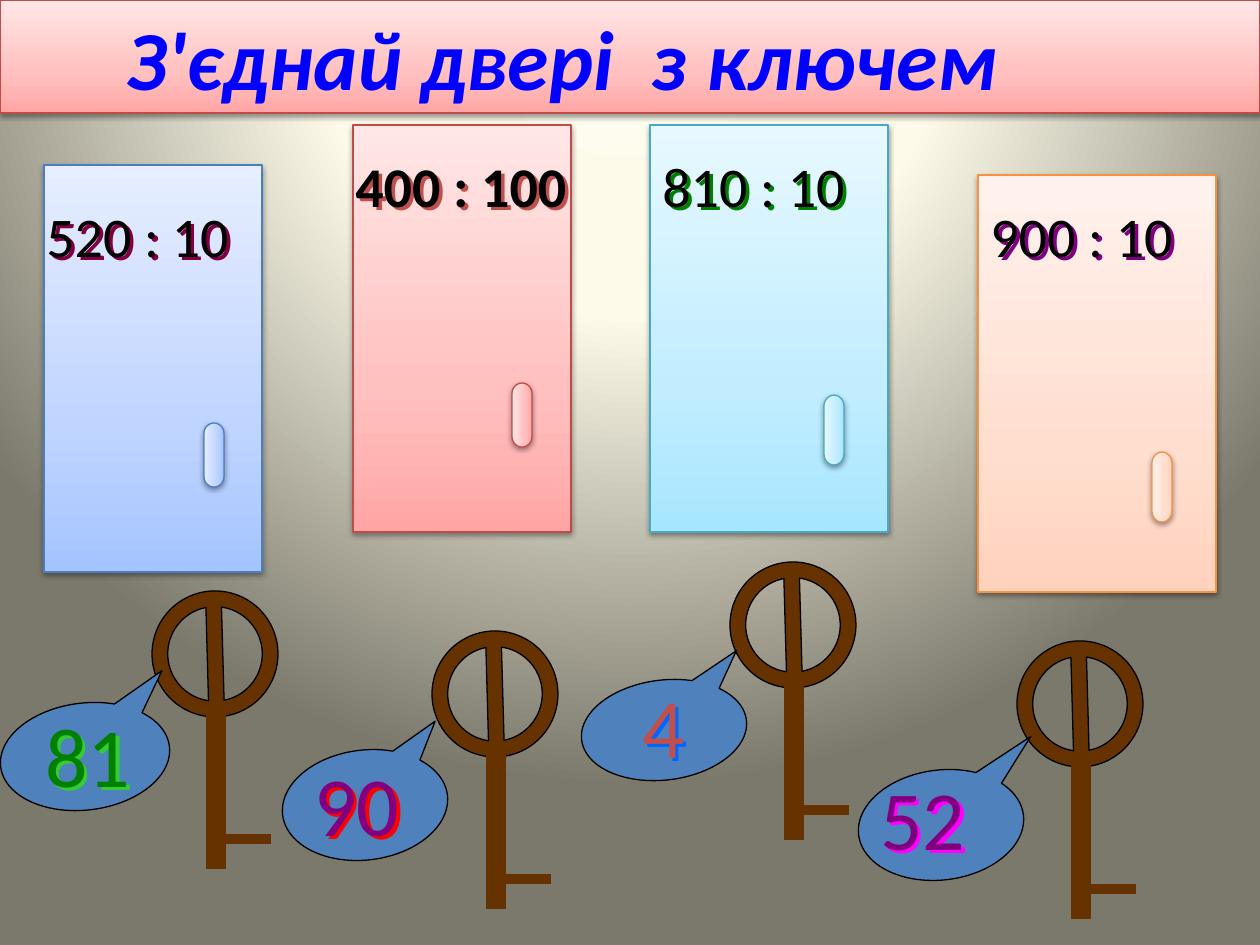
from copy import deepcopy

from lxml.etree import SubElement
from pptx import Presentation
from pptx.dml.color import RGBColor
from pptx.enum.shapes import MSO_CONNECTOR, MSO_SHAPE
from pptx.enum.text import MSO_ANCHOR, PP_ALIGN
from pptx.oxml import parse_xml
from pptx.oxml.ns import nsdecls, qn
from pptx.util import Pt

PX = 914400 // 126

BLACK = RGBColor(0x00, 0x00, 0x00)
TITLE_BLUE = RGBColor(0x00, 0x00, 0xFF)
KEY_BROWN = RGBColor(0x66, 0x33, 0x00)
CALLOUT_BLUE = RGBColor(0x4F, 0x81, 0xBD)
GREEN = RGBColor(0x00, 0x80, 0x00)
LIGHT_GREEN = RGBColor(0x33, 0xCC, 0x33)
PURPLE = RGBColor(0x80, 0x00, 0x80)
MAROON = RGBColor(0x80, 0x00, 0x40)
BRICK = RGBColor(0xC0, 0x50, 0x4D)
RED = RGBColor(0xFF, 0x00, 0x00)
SHADOW_BLUE = RGBColor(0x00, 0x66, 0xFF)
MAGENTA = RGBColor(0xFF, 0x00, 0xFF)

# Each scheme: gradient from bottom to top, then the outline
BACKDROP = [RGBColor(0xFE, 0xFC, 0xEE), RGBColor(0xFD, 0xFA, 0xEA), RGBColor(0x7B, 0x79, 0x6B)]
ROSE = [RGBColor(0xFF, 0xA6, 0xA5), RGBColor(0xFF, 0xC0, 0xBF), RGBColor(0xFF, 0xE7, 0xE7),
        RGBColor(0xBF, 0x4C, 0x48)]
PEACH = [RGBColor(0xFF, 0xD2, 0xBD), RGBColor(0xFF, 0xDE, 0xD0), RGBColor(0xFF, 0xF2, 0xED),
         RGBColor(0xF6, 0x92, 0x40)]
AQUA = [RGBColor(0xA7, 0xE6, 0xFF), RGBColor(0xC1, 0xED, 0xFF), RGBColor(0xE7, 0xF8, 0xFF),
        RGBColor(0x46, 0xAA, 0xC5)]
SKY = [RGBColor(0xA4, 0xC4, 0xFF), RGBColor(0xBF, 0xD4, 0xFF), RGBColor(0xE6, 0xEE, 0xFF),
       RGBColor(0x4B, 0x7E, 0xBC)]


def fill_gradient(fill, element, colors, middle):
    """Give fill three stops, at 0, middle and 1; element is the XML that holds it."""
    fill.gradient()
    stop_list = element.xpath(".//a:gsLst")[0]
    stop_list.insert(1, deepcopy(stop_list[0]))
    for stop, color, position in zip(fill.gradient_stops, colors, (0, middle, 1)):
        stop.color.rgb = color
        stop.position = position


def add_shadow(shape, color, alpha, blur, distance, angle):
    """Set an outer shadow; on an unfilled text box it falls from the letters."""
    shape.shadow.inherit = False
    effects = shape._element.spPr.find(qn("a:effectLst"))
    effects.append(parse_xml(
        f'<a:outerShdw {nsdecls("a")} blurRad="{blur}" dist="{distance}" dir="{angle * 60000}" '
        f'algn="ctr" rotWithShape="0"><a:srgbClr val="{color}"><a:alpha val="{alpha * 1000}"/>'
        '</a:srgbClr></a:outerShdw>'))


presentation = Presentation()
presentation.slide_width = 1260 * PX
presentation.slide_height = 945 * PX
slide = presentation.slides.add_slide(presentation.slide_layouts[6])

# Background: a glow centred above the top edge
fill_gradient(slide.background.fill, slide._element, BACKDROP, 0.4)
background_gradient = slide._element.xpath(".//p:bg//a:gradFill")[0]
background_gradient.replace(
    background_gradient.find(qn("a:lin")),
    parse_xml(f'<a:path {nsdecls("a")} path="circle">'
              '<a:fillToRect l="50000" t="-80000" r="50000" b="180000"/></a:path>'))

# Title bar, doors and handles share one panel style
panels = []
labels = []
title_bar = slide.shapes.add_shape(MSO_SHAPE.RECTANGLE, 0, 0, 1260 * PX, 113 * PX)
panels.append((title_bar, ROSE))
title_frame = title_bar.text_frame
title_frame.margin_left = 127 * PX
title_frame.vertical_anchor = MSO_ANCHOR.MIDDLE
title_frame.text = "З'єднай двері  з ключем"
title_paragraph = title_frame.paragraphs[0]
title_paragraph.alignment = PP_ALIGN.LEFT
title_font = title_paragraph.runs[0].font
title_font.name = "Calibri"
title_font.size = Pt(48)
title_font.bold = True
title_font.italic = True
title_font.color.rgb = TITLE_BLUE

# Door box, handle centre and length, label with its place and shadow, scheme
doors = [
    ((978, 175, 238, 417), (1162, 487, 70), "900 : 10", (978, 195, 210), PURPLE, PEACH),
    ((650, 125, 238, 407), (834, 430, 70), "810 : 10", (650, 145, 210), GREEN, AQUA),
    ((353, 125, 218, 407), (522, 415, 64), "400 : 100", (343, 145, 238), BRICK, ROSE),
    ((44, 165, 218, 407), (214, 455, 64), "520 : 10", (34, 195, 210), MAROON, SKY),
]
for box, (center_x, center_y, length), text, (left, top, width), shadow_color, scheme in doors:
    group = slide.shapes.add_group_shape()
    door = group.shapes.add_shape(MSO_SHAPE.RECTANGLE, *[value * PX for value in box])
    handle = group.shapes.add_shape(
        MSO_SHAPE.FLOWCHART_TERMINATOR, (center_x - length // 2) * PX, (center_y - 10) * PX,
        length * PX, 20 * PX)
    handle.rotation = 270
    panels += [(door, scheme), (handle, scheme)]
    label = slide.shapes.add_textbox(left * PX, top * PX, width * PX, 81 * PX)
    labels.append((label, text, 32, BLACK, shadow_color))

for panel, scheme in panels:
    fill_gradient(panel.fill, panel._element, scheme, 0.35)
    panel.fill.gradient_angle = 90
    panel.line.color.rgb = scheme[3]
    panel.line.width = Pt(0.75)
    add_shadow(panel, BLACK, 38, 40000, 20000, 90)

# Shaft and bit strokes, relative to the ring's corner
key_strokes = [(69, 120, 69, 278), (69, 248, 119, 248), (59, 120, 59, 278)]

# Ring corner, callout box and tail, number with its place and colours
keys = [
    ((152, 591), (0, 703, 170, 107), (-0.51, 0.71), "81", (33, 697, 112), GREEN, LIGHT_GREEN),
    ((432, 631), (282, 750, 166, 110), (-0.48, 0.68), "90", (302, 746, 112), PURPLE, RED),
    ((730, 562), (581, 680, 166, 100), (-0.49, 0.70), "4", (630, 668, 68), BRICK, SHADOW_BLUE),
    ((1017, 641), (858, 770, 166, 110), (-0.60, 0.70), "52", (868, 760, 112), PURPLE, MAGENTA),
]
for (x, y), box, tail, text, (left, top, width), color, shadow_color in keys:
    group = slide.shapes.add_group_shape()
    ring = group.shapes.add_shape(MSO_SHAPE.NO_SYMBOL, x * PX, y * PX, 126 * PX, 126 * PX)
    ring.adjustments[0] = 0.125
    ring.rotation = 43.4
    for x1, y1, x2, y2 in key_strokes:
        stroke = group.shapes.add_connector(
            MSO_CONNECTOR.STRAIGHT, (x + x1) * PX, (y + y1) * PX, (x + x2) * PX, (y + y2) * PX)
        stroke.line.color.rgb = KEY_BROWN
        stroke.line.width = Pt(6)
        SubElement(stroke._element.spPr, qn("a:effectLst"))
    callout = group.shapes.add_shape(MSO_SHAPE.OVAL_CALLOUT, *[value * PX for value in box])
    callout.rotation = 173.1
    callout.adjustments[0], callout.adjustments[1] = tail
    for shape, fill_color in ((ring, KEY_BROWN), (callout, CALLOUT_BLUE)):
        shape.fill.solid()
        shape.fill.fore_color.rgb = fill_color
        shape.line.color.rgb = BLACK
        shape.line.width = Pt(0.75)
        shape.shadow.inherit = False
    number = group.shapes.add_textbox(left * PX, top * PX, width * PX, 115 * PX)
    labels.append((number, text, 48, color, shadow_color))

for label, text, size, color, shadow_color in labels:
    label.text_frame.word_wrap = False
    label.text_frame.text = text
    font = label.text_frame.paragraphs[0].runs[0].font
    font.name = "Calibri"
    font.size = Pt(size)
    font.bold = text == "400 : 100"
    font.color.rgb = color
    add_shadow(label, shadow_color, 100, 0, 36000, 45)

presentation.save("out.pptx")
